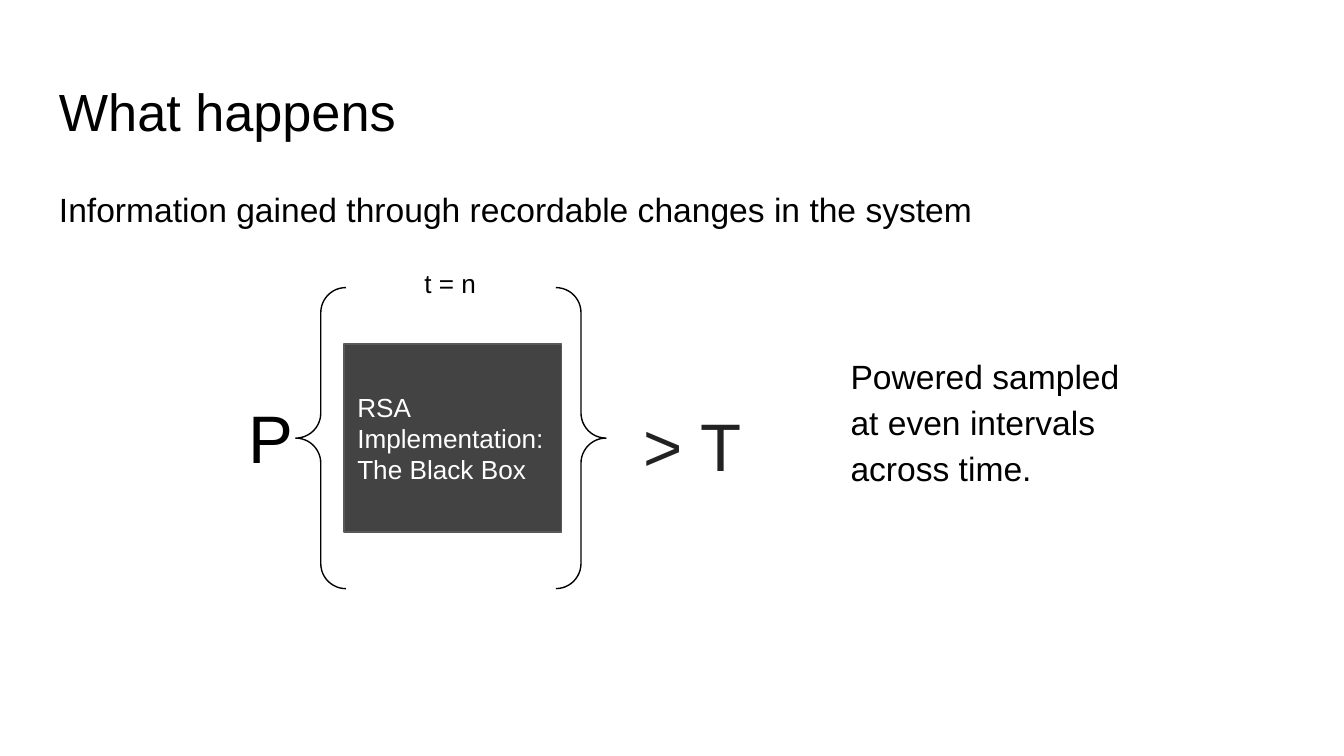
from dataclasses import dataclass

from pptx import Presentation
from pptx.dml.color import RGBColor
from pptx.enum.shapes import MSO_SHAPE
from pptx.enum.text import MSO_ANCHOR, PP_ALIGN
from pptx.shapes.autoshape import Shape
from pptx.slide import Slide
from pptx.util import Inches, Pt

COLORS = {
    "ink": "000000",
    "result": "222222",
    "box": "434343",
    "outline": "595959",
    "paper": "FFFFFF",
}
FONT = "Arial"
INSET = Inches(0.1)
SLIDE_WIDTH = Inches(10)
SLIDE_HEIGHT = SLIDE_WIDTH * 9 // 16


@dataclass(frozen=True)
class Frame:
    left: float
    top: float
    width: float
    height: float


@dataclass(frozen=True)
class Label:
    text: str
    frame: Frame
    size: int
    color: str = "ink"
    align: PP_ALIGN = PP_ALIGN.LEFT
    line_spacing: float = 1.0
    space_after: int = 0


HEADINGS = [
    Label("What happens", Frame(0.34, 0.49, 9.32, 0.63), 28),
    Label("Information gained through recordable changes in the system",
          Frame(0.34, 1.26, 9.32, 0.63), 18, line_spacing=1.15, space_after=16),
]
BRACES = Frame(2.2, 2.14, 2.31, 2.24)
BLACK_BOX = Label("RSA Implementation:\nThe Black Box",
                  Frame(2.56, 2.56, 1.62, 1.4), 14, color="paper")
ANNOTATIONS = [
    Label("t = n", Frame(2.78, 1.89, 1.14, 0.44), 14, align=PP_ALIGN.CENTER),
    Label("P", Frame(1.75, 2.85, 0.36, 1.59), 36),
    Label("> T", Frame(4.69, 2.91, 0.96, 0.7), 36, color="result"),
    Label("Powered sampled at even intervals across time.",
          Frame(6.23, 2.5, 2.31, 1.52), 18, line_spacing=1.15, space_after=16),
]


def rgb(name: str) -> RGBColor:
    return RGBColor.from_string(COLORS[name])


def lengths(frame: Frame) -> tuple[Inches, Inches, Inches, Inches]:
    return (Inches(frame.left), Inches(frame.top),
            Inches(frame.width), Inches(frame.height))


def write_text(shape: Shape, label: Label, anchor: MSO_ANCHOR) -> None:
    text_frame = shape.text_frame
    text_frame.word_wrap = True
    text_frame.vertical_anchor = anchor
    text_frame.margin_left = text_frame.margin_right = INSET
    text_frame.margin_top = text_frame.margin_bottom = INSET
    text_frame.text = label.text
    for paragraph in text_frame.paragraphs:
        paragraph.alignment = label.align
        paragraph.line_spacing = label.line_spacing
        paragraph.space_after = Pt(label.space_after)
        for span in paragraph.runs:
            span.font.name = FONT
            span.font.size = Pt(label.size)
            span.font.color.rgb = rgb(label.color)


def add_labels(page: Slide, labels: list[Label]) -> None:
    for label in labels:
        box = page.shapes.add_textbox(*lengths(label.frame))
        write_text(box, label, MSO_ANCHOR.TOP)


def add_outlined(page: Slide, kind: MSO_SHAPE, frame: Frame, line: str) -> Shape:
    shape = page.shapes.add_shape(kind, *lengths(frame))
    shape.shadow.inherit = False
    shape.fill.background()
    shape.line.color.rgb = rgb(line)
    shape.line.width = Pt(0.75)
    return shape


def main() -> None:
    deck = Presentation()
    deck.slide_width = SLIDE_WIDTH
    deck.slide_height = SLIDE_HEIGHT
    page = deck.slides.add_slide(deck.slide_layouts[6])

    add_outlined(page, MSO_SHAPE.DOUBLE_BRACE, BRACES, "ink")
    add_labels(page, HEADINGS)
    black_box = add_outlined(page, MSO_SHAPE.RECTANGLE, BLACK_BOX.frame, "outline")
    black_box.fill.solid()
    black_box.fill.fore_color.rgb = rgb("box")
    write_text(black_box, BLACK_BOX, MSO_ANCHOR.MIDDLE)
    add_labels(page, ANNOTATIONS)

    deck.save("out.pptx")


if __name__ == "__main__":
    main()
